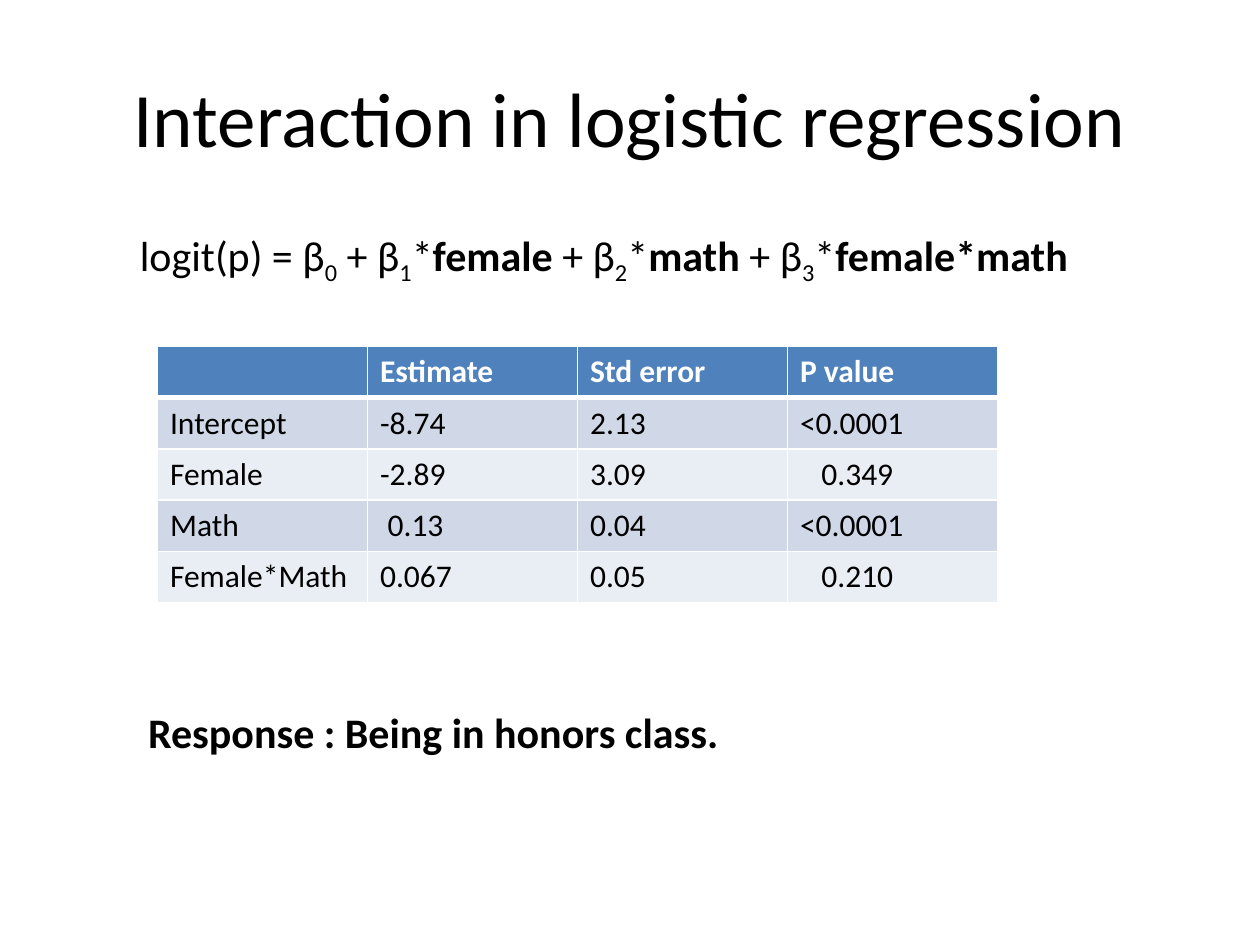
from pptx import Presentation
from pptx.dml.color import RGBColor as Rgb
from pptx.enum.text import MSO_ANCHOR as Anchor, PP_ALIGN as Align
from pptx.oxml import parse_xml
from pptx.oxml.ns import nsdecls
from pptx.util import Inches, Pt

WHITE, BLACK, BLUE = "FFFFFF", "000000", "4F81BD"
BANDS = "D0D8E8", "E9EDF4"


def color(code):
    """Turn a hex string into a colour."""
    return Rgb.from_string(code)


def write(frame, text, size=24, tint=BLACK, bold=False, sub=False,
          align=Align.LEFT, font="Calibri"):
    """Add a formatted run to the first paragraph of a frame."""
    para = frame.paragraphs[0]
    para.alignment = align
    run = para.add_run()
    run.text = text
    run.font.name, run.font.size, run.font.bold = font, Pt(size), bold
    run.font.color.rgb = color(tint)
    if sub:
        run.font._element.set("baseline", "-25000")


def edge(cell, side, width):
    """Draw a white border on one side of a cell."""
    props = cell._tc.get_or_add_tcPr()
    line = parse_xml(
        f'<a:ln{side} {nsdecls("a")} w="{Pt(width)}"><a:solidFill>'
        f'<a:srgbClr val="{WHITE}"/></a:solidFill></a:ln{side}>')
    props.append(line)


class Deck:
    """Hold the grid, the file and the current slide."""

    unit = 0.25

    def __init__(self):
        """Start a file with one title-only slide."""
        self.file = Presentation()
        self.file.slide_width, self.file.slide_height = self.grid(40, 30)
        self.slide = self.file.slides.add_slide(self.file.slide_layouts[5])

    def grid(self, *cells):
        """Convert grid counts to lengths."""
        return [Inches(n * self.unit) for n in cells]

    def title(self, text, *box):
        """Place and fill the title."""
        head = self.slide.shapes.title
        head.left, head.top, head.width, head.height = self.grid(*box)
        head.text_frame.vertical_anchor = Anchor.MIDDLE
        write(head.text_frame, text, size=44, align=Align.CENTER)

    def label(self, runs, *box):
        """Add a text box from pairs of text and format."""
        frame = self.slide.shapes.add_textbox(*self.grid(*box)).text_frame
        frame.word_wrap = True
        frame.margin_left = frame.margin_right = 0
        for text, style in runs:
            write(frame, text, **style)

    def table(self, rows, shifts, *box):
        """Add a banded table; shifts indent single cells."""
        shape = self.slide.shapes.add_table(
            len(rows), len(rows[0]), *self.grid(*box))
        shape.table.horz_banding = False
        for r, row in enumerate(rows):
            for c, text in enumerate(row):
                cell = shape.table.cell(r, c)
                cell.margin_left = Inches(0.1 + shifts.get((r, c), 0))
                for side in "LRTB":
                    thick = (r, side) in ((0, "B"), (1, "T"))
                    edge(cell, side, 3 if thick else 1)
                cell.fill.solid()
                cell.fill.fore_color.rgb = color(
                    BANDS[(r - 1) % 2] if r else BLUE)
                if text:
                    write(cell.text_frame, text, size=18, bold=r == 0,
                          tint=BLACK if r else WHITE)


deck = Deck()
deck.title("Interaction in logistic regression", 2, 1.2, 36, 5)

terms = [("logit(p) = β", {}), ("0", {"sub": True})]
for n, name in enumerate(("female", "math", "female*math"), 1):
    terms += [("\u00a0+ β", {}), (str(n), {"sub": True}),
              ("*", {}), (name, {"bold": True})]
deck.label(terms, 4.44, 7.08, 33, 2)

rows = [
    ("", "Estimate", "Std error", "P value"),
    ("Intercept", "-8.74", "2.13", "<0.0001"),
    ("Female", "-2.89", "3.09", "0.349"),
    ("Math", "0.13", "0.04", "<0.0001"),
    ("Female*Math", "0.067", "0.05", "0.210"),
]
shifts = {(2, 3): 0.17, (3, 1): 0.06, (4, 3): 0.17}
deck.table(rows, shifts, 5, 11, 26.67, 8.13)

deck.label([("Response : Being in honors class.", {"bold": True})],
           4.7, 22.24, 33, 2)
deck.file.save("out.pptx")
